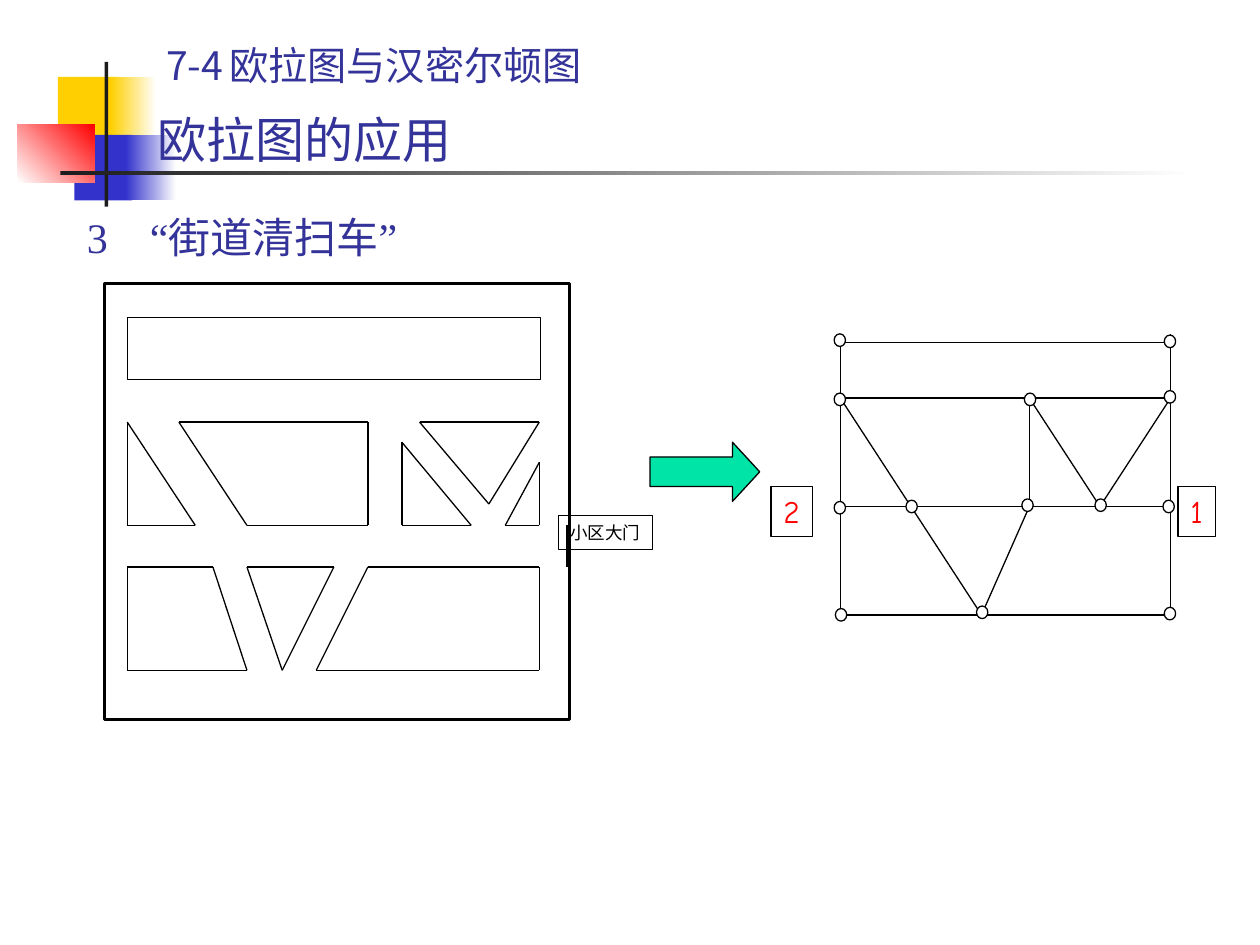
"""Build the slide about the Euler graph of the street sweeper problem."""
import lxml.etree
import pptx
import pptx.dml.color
import pptx.enum.shapes
import pptx.enum.text
import pptx.oxml.ns
import pptx.util

Inches = pptx.util.Inches
SHAPES = pptx.enum.shapes.MSO_SHAPE
ANCHORS = pptx.enum.text.MSO_ANCHOR

THEME = {
    "ink": "333399", "black": "000000", "white": "FFFFFF", "yellow": "FFCF01",
    "blue": "3333CC", "red": "FF0000", "dark": "1C1C1C", "green": "00E4A8",
    "comic": "Comic Neue", "serif": "Times New Roman", "sans": "Noto Sans CJK SC",
    "title": 28, "body": 24, "header": 22.4, "number": 18, "gate": 10,
    "thin": 0.75, "frame": 1.75, "entrance": 2,
}

HEADER = "7-4\t欧拉图与汉密尔顿图"
TITLE = "欧拉图的应用"
BODY = [("3\t“", "serif"), ("街道清扫车", "sans"), ("”", "serif")]
GATE = "小区大门"

DECORATIONS = [
    ((0.46, 0.61, 0.48, 0.52), ["yellow"], 0),
    ((0.88, 0.61, 0.36, 0.52), ["yellow", "white"], 0),
    ((0.59, 1.07, 0.46, 0.52), ["blue"], 0),
    ((1.00, 1.07, 0.40, 0.52), ["blue", "white"], 0),
    ((0.14, 0.99, 0.61, 0.46), ["white", "red"], 45),
    ((0.83, 0.49, 0.03, 1.15), ["dark"], 0),
    ((0.48, 1.36, 9.00, 0.03), ["dark", "white"], 0),
]

COMMUNITY_BOX = (0.83, 2.25, 3.69, 3.46)
LONG_BLOCK = (1.01, 2.52, 3.28, 0.49)
GATE_BOX = (4.43, 4.09, 0.75, 0.27)
ENTRANCE = ((4.51, 4.17), (4.51, 4.5))
BLOCKS = [
    [(1.01, 3.35), (1.55, 4.17), (1.01, 4.17)],
    [(1.42, 3.35), (2.92, 3.35), (2.92, 4.17), (1.96, 4.17)],
    [(3.19, 3.51), (3.74, 4.17), (3.19, 4.17)],
    [(3.33, 3.35), (4.28, 3.35), (3.88, 4.0)],
    [(4.28, 3.67), (4.28, 4.17), (4.01, 4.17)],
    [(1.01, 4.5), (1.69, 4.5), (1.96, 5.32), (1.01, 5.32)],
    [(1.96, 4.5), (2.65, 4.5), (2.24, 5.32)],
    [(2.92, 4.5), (4.28, 4.5), (4.28, 5.32), (2.51, 5.32)],
]

LEFT, FOOT, MIDDLE, VALLEY, RIGHT = 6.67, 7.79, 8.17, 8.73, 9.29
TOP, UPPER, CENTER, BOTTOM = 2.72, 3.16, 4.02, 4.88
STREETS = [
    *(((LEFT, y), (RIGHT, y)) for y in (TOP, UPPER, CENTER, BOTTOM)),
    *(((x, 2.65), (x, BOTTOM)) for x in (LEFT, RIGHT)),
    ((LEFT, UPPER), (FOOT, BOTTOM)),
    ((MIDDLE, UPPER), (MIDDLE, CENTER)),
    ((MIDDLE, CENTER), (FOOT, BOTTOM)),
    ((MIDDLE, UPPER), (VALLEY, CENTER)),
    ((RIGHT, UPPER), (VALLEY, CENTER)),
]
NODE_SIZE = (0.09, 0.1)
NODES = [
    (6.62, 2.65), (9.24, 2.66), (6.62, 3.12), (8.13, 3.12), (9.24, 3.1),
    (6.62, 3.98), (7.19, 3.97), (8.11, 3.96), (8.69, 3.96), (9.23, 3.97),
    (6.63, 4.83), (7.75, 4.81), (9.24, 4.82),
]
NUMBERS = [("2", (6.12, 3.86, 0.33, 0.4)), ("1", (9.35, 3.86, 0.3, 0.4))]
ARROW_BOX = (5.16, 3.51, 0.87, 0.47)


def color(name):
    return pptx.dml.color.RGBColor.from_string(THEME[name])


def place(shape, box):
    shape.left, shape.top, shape.width, shape.height = map(Inches, box)


def write(shape, runs, size, ink="ink", anchor=ANCHORS.TOP, wrap=True, spacing=1.0, tab=None):
    frame = shape.text_frame
    frame.word_wrap = wrap
    frame.auto_size = pptx.enum.text.MSO_AUTO_SIZE.NONE
    frame.vertical_anchor = anchor
    frame.margin_left = frame.margin_right = Inches(0.1)
    frame.margin_top = frame.margin_bottom = Inches(0.05)
    paragraph = frame.paragraphs[0]
    paragraph.alignment = pptx.enum.text.PP_ALIGN.LEFT
    paragraph.line_spacing = spacing
    paragraph.space_before = pptx.util.Pt(0)
    properties = paragraph._p.get_or_add_pPr()
    properties.set("marL", "0")
    properties.set("indent", "0")
    lxml.etree.SubElement(properties, pptx.oxml.ns.qn("a:buNone"))
    if tab:
        tabs = lxml.etree.SubElement(properties, pptx.oxml.ns.qn("a:tabLst"))
        lxml.etree.SubElement(tabs, pptx.oxml.ns.qn("a:tab"), pos=str(Inches(tab)), algn="l")
    for text, font in runs:
        run = paragraph.add_run()
        run.text = text
        run.font.name = THEME[font]
        run.font.size = pptx.util.Pt(THEME[size])
        run.font.color.rgb = color(ink)
        east_asian = "serif" if text in ("3\t“", "”") else "sans"
        lxml.etree.SubElement(run.font._element, pptx.oxml.ns.qn("a:ea"), typeface=THEME[east_asian])


def add_shape(shapes, kind, box, fills=(), angle=0, line="thin"):
    shape = shapes.add_shape(kind, *map(Inches, box))
    shape.shadow.inherit = False
    if len(fills) == 2:
        shape.fill.gradient()
        shape.fill.gradient_angle = angle
        for stop, name in zip(shape.fill.gradient_stops, fills):
            stop.color.rgb = color(name)
    elif fills:
        shape.fill.solid()
        shape.fill.fore_color.rgb = color(fills[0])
    else:
        shape.fill.background()
    if line:
        shape.line.color.rgb = color("black")
        shape.line.width = pptx.util.Pt(THEME[line])
    else:
        shape.line.fill.background()
    return shape


def add_line(shapes, start, end, width="thin"):
    straight = pptx.enum.shapes.MSO_CONNECTOR.STRAIGHT
    connector = shapes.add_connector(straight, *map(Inches, (*start, *end)))
    connector.line.color.rgb = color("black")
    connector.line.width = pptx.util.Pt(THEME[width])
    lxml.etree.SubElement(connector._element.spPr, pptx.oxml.ns.qn("a:effectLst"))


def add_community(slide):
    shapes = slide.shapes.add_group_shape().shapes
    add_shape(shapes, SHAPES.RECTANGLE, COMMUNITY_BOX, line="frame")
    gate = add_shape(shapes, SHAPES.RECTANGLE, GATE_BOX)
    write(gate, [(GATE, "serif")], "gate", ink="black", wrap=False)
    add_shape(shapes, SHAPES.RECTANGLE, LONG_BLOCK, ["white"])
    for corners in BLOCKS:
        for start, end in zip(corners, corners[1:] + corners[:1]):
            add_line(shapes, start, end)
    add_line(shapes, *ENTRANCE, width="entrance")


def add_graph(slide):
    shapes = slide.shapes.add_group_shape().shapes
    for start, end in STREETS:
        add_line(shapes, start, end)
    for corner in NODES:
        add_shape(shapes, SHAPES.OVAL, corner + NODE_SIZE, ["white"])
    for text, box in NUMBERS:
        number = add_shape(shapes, SHAPES.RECTANGLE, box)
        write(number, [(text, "comic")], "number", ink="red", wrap=False)


def main():
    presentation = pptx.Presentation()
    presentation.slide_width, presentation.slide_height = Inches(10), Inches(7.5)
    slide = presentation.slides.add_slide(presentation.slide_layouts[1])
    for box, fills, angle in DECORATIONS:
        add_shape(slide.shapes, SHAPES.RECTANGLE, box, fills, angle, line=None)

    title, body = slide.placeholders
    for placeholder in (title, body):
        placeholder._element.getparent().append(placeholder._element)
    place(title, (1.15, 0.76, 8.5, 0.63))
    write(title, [(TITLE, "comic")], "title", anchor=ANCHORS.BOTTOM)
    place(body, (0.59, 1.55, 8.5, 4.5))
    write(body, BODY, "body", spacing=1.2, tab=0.53)

    add_community(slide)
    add_graph(slide)
    arrow = add_shape(slide.shapes, SHAPES.RIGHT_ARROW, ARROW_BOX, ["green"])
    arrow.adjustments[0], arrow.adjustments[1] = 0.5, 0.46
    header = slide.shapes.add_textbox(*map(Inches, (1.22, 0.28, 7.4, 0.47)))
    write(header, [(HEADER, "sans")], "header", anchor=ANCHORS.BOTTOM, spacing=0.8, tab=0.6)
    presentation.save("out.pptx")


if __name__ == "__main__":
    main()
